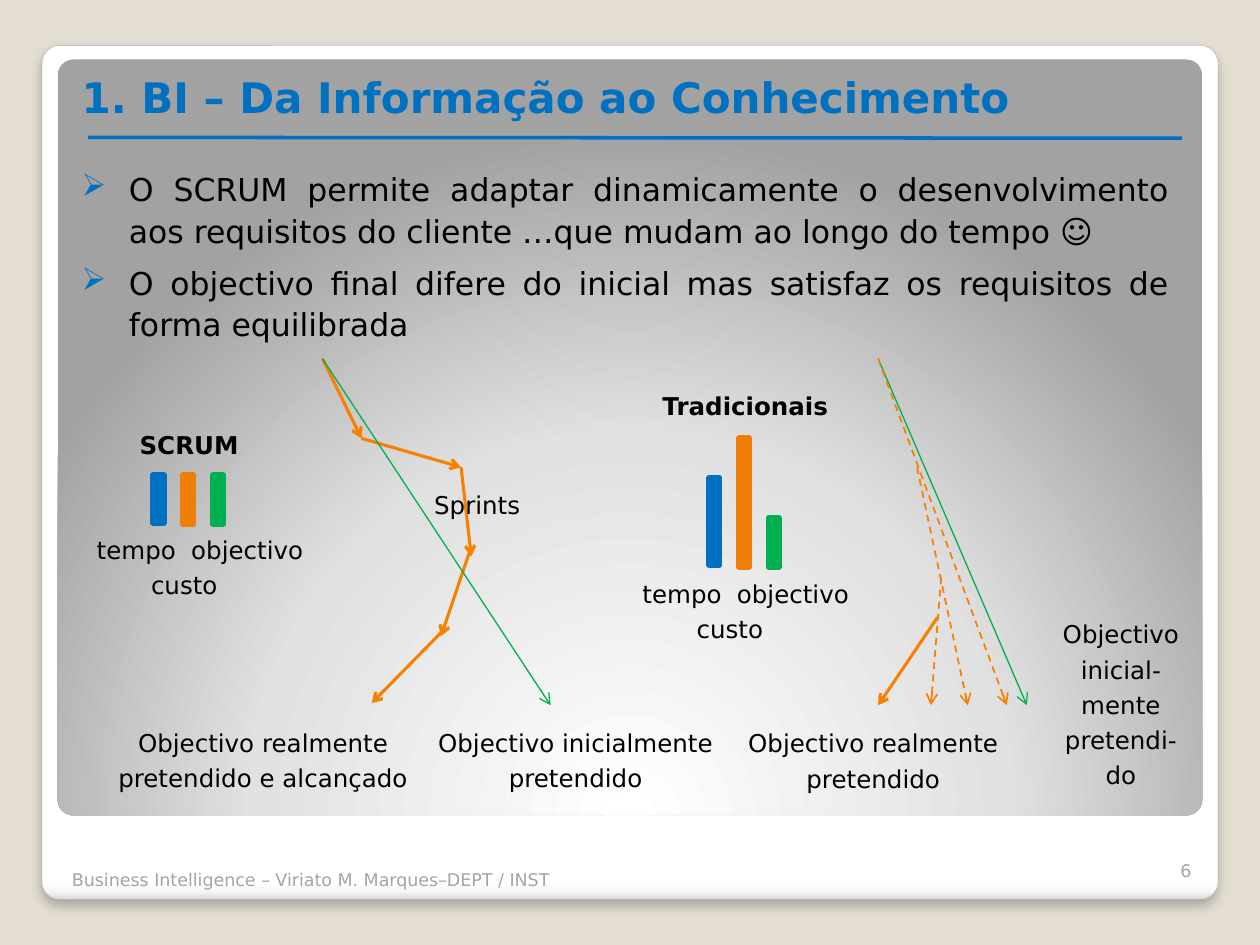
from pptx import Presentation
from pptx.dml.color import RGBColor
from pptx.enum.dml import MSO_LINE
from pptx.enum.shapes import MSO_CONNECTOR, MSO_SHAPE
from pptx.enum.text import MSO_ANCHOR, MSO_AUTO_SIZE, PP_ALIGN
from pptx.oxml import parse_xml
from pptx.oxml.ns import nsdecls, qn
from pptx.util import Pt

STRAIGHT = MSO_CONNECTOR.STRAIGHT
DASH = MSO_LINE.DASH
RECTANGLE, ROUNDED = MSO_SHAPE.RECTANGLE, MSO_SHAPE.ROUNDED_RECTANGLE
TOP, BOTTOM = MSO_ANCHOR.TOP, MSO_ANCHOR.BOTTOM
GROW = MSO_AUTO_SIZE.SHAPE_TO_FIT_TEXT
LEFT, CENTER, RIGHT, JUSTIFY = PP_ALIGN.LEFT, PP_ALIGN.CENTER, PP_ALIGN.RIGHT, PP_ALIGN.JUSTIFY

COLORS = {
    "background": "E3DED1", "border": "A4A4A4", "footer": "A8A49B", "text": "000000",
    "blue": "0070C0", "orange": "F07F09", "green": "00B050", "path": "F97F00",
}
CARD_STOPS = [(0, "FFFFFF"), (98, "FFFFFF"), (99, "F7F7F7"), (100, "DADADA")]
PANEL_STOPS = [(0, "FFFFFF"), (55, "E1E1E1"), (100, "A2A2A2")]
DOWNWARD = '<a:lin ang="5400000" scaled="0"/>'
FROM_BELOW = ('<a:path path="circle">'
              '<a:fillToRect l="50000" t="175000" r="50000" b="-75000"/></a:path>')


def color(name):
    return RGBColor.from_string(COLORS[name])


def element(tag, attributes="", content=""):
    return parse_xml(f'<a:{tag} {nsdecls("a")} {attributes}>{content}</a:{tag}>')


class SlideBuilder:
    """Holds the text style and the slide being drawn; all lengths are points."""

    font = "DejaVu Sans"

    def __init__(self, slide):
        self.slide = slide
        slide.background.fill.solid()
        slide.background.fill.fore_color.rgb = color("background")

    def shape(self, kind, left, top, width, height):
        shape = self.slide.shapes.add_shape(kind, Pt(left), Pt(top), Pt(width), Pt(height))
        shape.shadow.inherit = False
        return shape

    def panel(self, box, stops, direction):
        """Rounded rectangle with a gradient of (percent, colour) stops."""
        shape = self.shape(ROUNDED, *box)
        shape.adjustments[0] = 0.021
        shape.line.fill.background()
        shape.fill.gradient()
        gradient = shape._element.spPr.find(qn("a:gradFill"))
        marks = "".join(f'<a:gs pos="{percent * 1000}"><a:srgbClr val="{value}"/></a:gs>'
                        for percent, value in stops)
        content = f"<a:gsLst>{marks}</a:gsLst>{direction}"
        gradient.getparent().replace(gradient, element("gradFill", 'rotWithShape="1"', content))
        return shape

    def card(self, box):
        """Panel with a hairline border and a soft shadow below."""
        shape = self.panel(box, CARD_STOPS, DOWNWARD)
        shape.line.color.rgb = color("border")
        shape.line.width = Pt(0.16)
        attributes = f'blurRad="{Pt(6)}" dist="{Pt(4)}" dir="5400000" algn="t" rotWithShape="0"'
        black = '<a:srgbClr val="000000"><a:alpha val="25000"/></a:srgbClr>'
        effects = shape._element.spPr.find(qn("a:effectLst"))
        effects.append(element("outerShdw", attributes, black))

    def bar(self, left, top, width, height, name):
        shape = self.shape(RECTANGLE, left, top, width, height)
        shape.fill.solid()
        shape.fill.fore_color.rgb = color(name)
        shape.line.color.rgb = color(name)
        shape.line.width = Pt(3.35)

    def line(self, start, end, name, width, dash=None, arrow=True):
        line = self.slide.shapes.add_connector(STRAIGHT, *map(Pt, start + end))
        line.line.color.rgb = color(name)
        line.line.width = Pt(width)
        if dash:
            line.line.dash_style = dash
        if arrow:
            line.line._get_or_add_ln().append(element("tailEnd", 'type="arrow"'))
        line._element.spPr.append(element("effectLst"))

    def text(self, box, paragraphs, size=14, name="text", bold=False, align=LEFT,
             spacing=None, anchor=TOP, grow=False):
        frame = self.slide.shapes.add_textbox(*map(Pt, box)).text_frame
        frame.word_wrap = True
        frame.vertical_anchor = anchor
        if grow:
            frame.auto_size = GROW
        for index, words in enumerate(paragraphs):
            paragraph = frame.paragraphs[0] if index == 0 else frame.add_paragraph()
            paragraph.alignment = align
            if spacing:
                paragraph.line_spacing = spacing
            run = paragraph.add_run()
            run.text = words
            run.font.name = self.font
            run.font.size = Pt(size)
            run.font.bold = bold
            run.font.color.rgb = color(name)
        return frame.paragraphs

    def label(self, box, words, align=CENTER, bold=False):
        self.text(box, [words], bold=bold, align=align, spacing=1.2, grow=True)

    def bullets(self, box, items):
        for paragraph in self.text(box, items, size=18, align=JUSTIFY, spacing=1.1, grow=True):
            paragraph.space_before = Pt(6)
            properties = paragraph._p.get_or_add_pPr()
            properties.set("marL", str(Pt(27)))
            properties.set("indent", str(Pt(-27)))
            properties.append(element("buClr", "", f'<a:srgbClr val="{COLORS["blue"]}"/>'))
            properties.append(element("buChar", 'char="➢"'))

    def caption(self, left, top):
        """Names of the three bars, the middle one on a second line."""
        first, second = self.text((left, top, 142, 48), ["tempo\tobjectivo", "custo"],
                                  align=JUSTIFY, spacing=1.2, grow=True)
        tab = f'<a:tab pos="{Pt(54)}" algn="l"/>'
        first._p.get_or_add_pPr().append(element("tabLst", "", tab))
        second._p.get_or_add_pPr().set("marL", str(Pt(31)))

    def bar_group(self, left, bars):
        """Three bars side by side, each given as (top, height)."""
        for index, (name, (top, height)) in enumerate(zip(("blue", "orange", "green"), bars)):
            self.bar(left + 17 * index, top, 6, height, name)


def main():
    presentation = Presentation()
    presentation.slide_width, presentation.slide_height = Pt(720), Pt(540)
    builder = SlideBuilder(presentation.slides.add_slide(presentation.slide_layouts[6]))

    builder.card((24, 26, 672, 488))
    builder.panel((33, 34, 654, 432), PANEL_STOPS, FROM_BELOW)
    builder.text((34, 483, 298, 29), ["Business Intelligence – Viriato M. Marques–DEPT / INST"],
                 size=10, name="footer", anchor=BOTTOM)
    builder.text((652, 478, 36, 29), ["6"], size=10, name="footer", align=RIGHT, anchor=BOTTOM)
    builder.text((39.6, 34, 628.5, 39.5), ["1. BI – Da Informação ao Conhecimento"],
                 size=24, name="blue", bold=True, anchor=BOTTOM)
    builder.line((50.4, 78.5), (675.4, 79), "blue", 2, arrow=False)
    builder.bullets((39.6, 91.5, 635.7, 109.5), [
        "O SCRUM permite adaptar dinamicamente o desenvolvimento aos requisitos do cliente "
        "…que mudam ao longo do tempo ☺",
        "O objectivo final difere do inicial mas satisfaz os requisitos de forma equilibrada",
    ])

    sprints = [
        ((184.3, 205), (206.6, 250.5)), ((206.6, 250.5), (263.5, 267)),
        ((263.5, 267), (269.3, 318)), ((269.3, 312.5), (252, 363.6)),
        ((252, 361.5), (212.4, 401.8)),
    ]
    for start, end in sprints:
        builder.line(start, end, "path", 1.75)
    builder.line((184.3, 205), (314.6, 403), "green", 0.75)

    builder.line((501.8, 205), (586.8, 403), "green", 0.75)
    deviations = [((524, 267), (553, 403)), ((537.8, 330), (532, 403)), ((501.8, 205), (575.3, 403))]
    for start, end in deviations:
        builder.line(start, end, "path", 1, DASH)
    builder.line((535.7, 352.8), (501.8, 403), "path", 1.75)

    builder.label((235.4, 409, 187, 46), "Objectivo inicialmente pretendido")
    builder.label((59.8, 409, 181, 48), "Objectivo realmente pretendido e alcançado")
    builder.label((417, 409.3, 164, 48), "Objectivo realmente pretendido")
    builder.label((598, 347, 85, 109), "Objectivo inicial-mente pretendi-do")
    builder.label((241, 273, 170, 25), "Sprints", JUSTIFY)
    builder.label((72.7, 239, 119, 25), "SCRUM", JUSTIFY, bold=True)
    builder.label((371.5, 216.7, 119, 25), "Tradicionais", JUSTIFY, bold=True)

    builder.bar_group(87.6, [(271.5, 27.3), (271.5, 28), (271.5, 28)])
    builder.caption(48.2, 298.8)
    builder.bar_group(405.2, [(273, 49.7), (250.5, 73.5), (296, 28)])
    builder.caption(360, 324)

    presentation.save("out.pptx")


if __name__ == "__main__":
    main()
